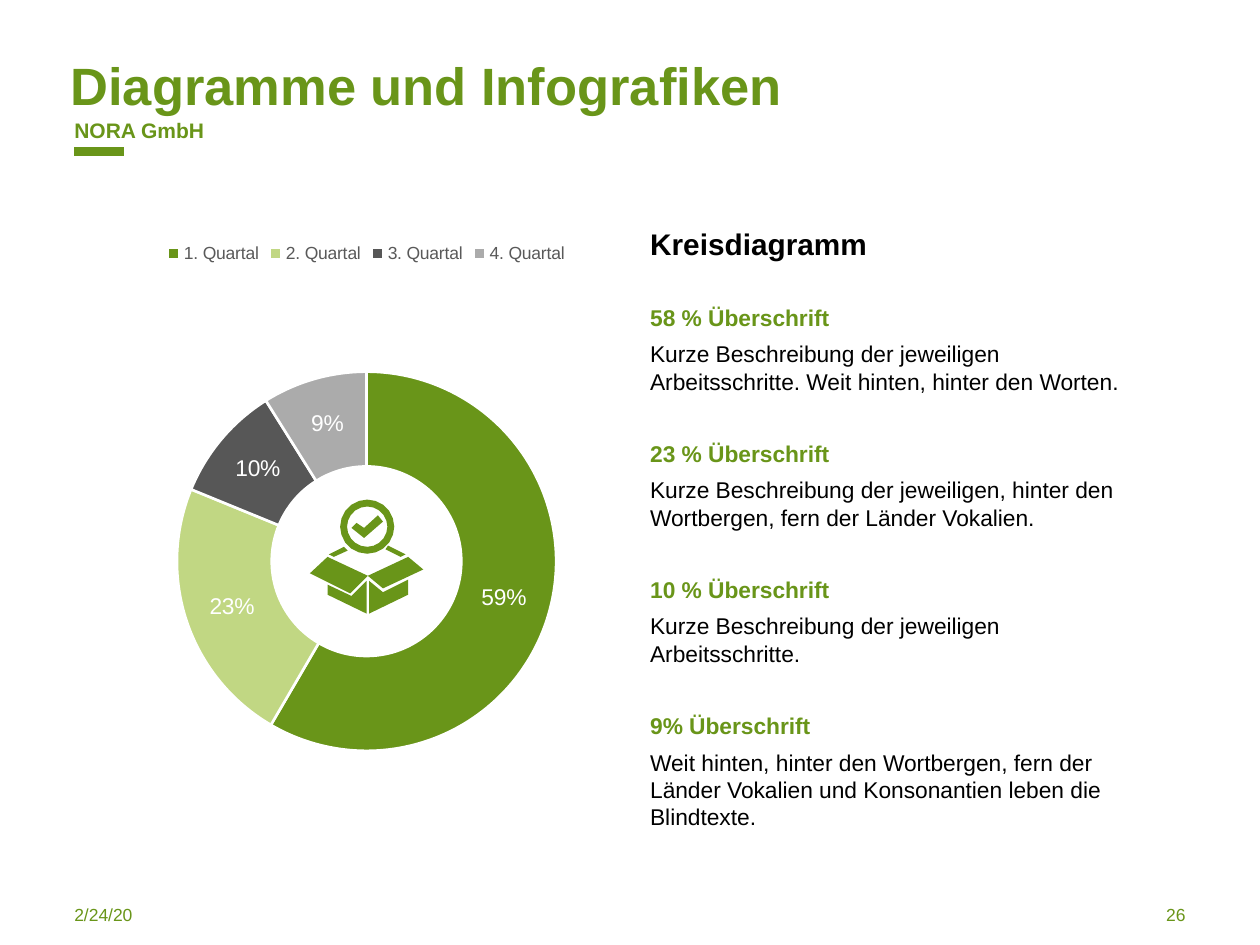
import math

from lxml import etree
from pptx import Presentation
from pptx import util as u
from pptx.chart import data
from pptx.dml import color
from pptx.enum import chart as charts, shapes, text
from pptx.oxml import ns

GREEN = color.RGBColor(0x69, 0x95, 0x19)
LIME = color.RGBColor(0xC1, 0xD7, 0x83)
DARK_GREY = color.RGBColor(0x57, 0x57, 0x57)
LIGHT_GREY = color.RGBColor(0xAB, 0xAB, 0xAB)
LEGEND_GREY = color.RGBColor(0x59, 0x59, 0x59)
BLACK = color.RGBColor(0, 0, 0)
WHITE = color.RGBColor(255, 255, 255)

FONT = "Arial"
CELL = u.Inches(0.1)
LEFT, TEXT_LEFT, TEXT_WIDTH = 5.9, 51.6, 38.6
FOOTER_TOP, FOOTER_WIDTH, FOOTER_HEIGHT = 71.75, 22.4, 2.5

QUARTERS = [
    ("1. Quartal", 59, GREEN),
    ("2. Quartal", 23, LIME),
    ("3. Quartal", 10, DARK_GREY),
    ("4. Quartal", 9, LIGHT_GREY),
]
SECTIONS = [
    ("58 % Überschrift", "Kurze Beschreibung der jeweiligen Arbeitsschritte. "
     "Weit hinten, hinter den Worten."),
    ("23 % Überschrift", "Kurze Beschreibung der jeweiligen, hinter den "
     "Wortbergen, fern der Länder Vokalien."),
    ("10 % Überschrift", "Kurze Beschreibung der jeweiligen Arbeitsschritte."),
    ("9% Überschrift", "Weit hinten, hinter den Wortbergen, fern der Länder "
     "Vokalien und Konsonantien leben die Blindtexte."),
]
CHECK_MARK = [(43, 30), (33, 22), (37, 18), (43, 22), (54, 12), (58, 17)]
OPEN_BOX = [
    [(47, 64), (47, 90), (78, 75), (78, 63), (58, 73)],
    [(0, 58), (32, 74), (46, 60), (14, 45)],
    [(90, 55), (78, 45), (46, 60), (58, 70)],
    [(14, 67), (14, 75), (45, 90), (45, 64), (33, 76)],
    [(30, 40), (27, 37), (15, 43), (19, 45)],
    [(60, 39), (72, 45), (76, 43), (62, 36)],
]


def cells(*counts):
    """Turn counts of grid cells into lengths."""
    return [u.Emu(round(count * CELL)) for count in counts]


def style(font, size, ink, bold=False):
    """Set the typeface, size, colour and weight of a font."""
    font.name, font.size, font.bold = FONT, u.Pt(size), bold
    font.color.rgb = ink


def prepare(box, area, anchor=text.MSO_ANCHOR.TOP):
    """Place a text shape on the grid and return its frame without insets."""
    box.left, box.top, box.width, box.height = cells(*area)
    frame = box.text_frame
    frame.word_wrap = True
    frame.auto_size = text.MSO_AUTO_SIZE.NONE
    frame.vertical_anchor = anchor
    frame.margin_left = frame.margin_right = 0
    frame.margin_top = frame.margin_bottom = 0
    return frame


def write(para, words, size, ink, bold=False, before=0,
          align=text.PP_ALIGN.LEFT):
    """Fill one paragraph and format it."""
    para.text = words
    para.alignment = align
    para.space_before, para.space_after = u.Pt(before), u.Pt(0)
    para.line_spacing = 1.0
    style(para.font, size, ink, bold)


def add_label(page, area, words, size, anchor=text.MSO_ANCHOR.TOP, **options):
    """Add a one-line green text box."""
    frame = prepare(page.shapes.add_textbox(*cells(*area)), area, anchor)
    write(frame.paragraphs[0], words, size, GREEN, **options)


def fill_sections(box, area):
    """Write the headings and descriptions into the body placeholder."""
    frame = prepare(box, area)
    for index, (heading, description) in enumerate(SECTIONS):
        para = frame.add_paragraph() if index else frame.paragraphs[0]
        write(para, heading, 13, GREEN, True, 25.7 if index else 0)
        write(frame.add_paragraph(), description, 13, BLACK, False, 5.2)


def add_rule(page, column, row, length):
    """Add the thick accent line under the company name."""
    start, top, end = cells(column, row, column + length)
    rule = page.shapes.add_connector(
        shapes.MSO_CONNECTOR.STRAIGHT, start, top, end, top)
    rule.line.color.rgb, rule.line.width = GREEN, u.Pt(5)
    etree.SubElement(rule._element.spPr, ns.qn("a:effectLst"))


def set_plot_area(chart, x, y, w, h):
    """Fix the outer plot area as shares of the chart."""
    area = chart._chartSpace.chart.plotArea
    for old in area.findall(ns.qn("c:layout")):
        area.remove(old)
    layout = etree.Element(ns.qn("c:layout"))
    manual = etree.SubElement(layout, ns.qn("c:manualLayout"))
    values = {"layoutTarget": "outer", "xMode": "edge", "yMode": "edge",
              "x": x, "y": y, "w": w, "h": h}
    for name, value in values.items():
        etree.SubElement(manual, ns.qn(f"c:{name}")).set("val", str(value))
    area.insert(0, layout)


def add_doughnut(page, area):
    """Add the doughnut chart of the four quarters."""
    table = data.CategoryChartData()
    table.categories = [name for name, _, _ in QUARTERS]
    table.add_series("Series 1", [share for _, share, _ in QUARTERS])
    chart = page.shapes.add_chart(
        charts.XL_CHART_TYPE.DOUGHNUT, *cells(*area), table).chart
    style(chart.font, 10, BLACK)
    chart.has_title = False
    chart.has_legend = True
    chart.legend.position = charts.XL_LEGEND_POSITION.TOP
    chart.legend.include_in_layout = False
    style(chart.legend.font, 10, LEGEND_GREY)
    plot = chart.plots[0]
    plot.vary_by_categories = True
    plot.has_data_labels = True
    labels = plot.data_labels
    labels.show_value, labels.show_percentage = True, False
    labels.number_format, labels.number_format_is_linked = '0"%"', False
    style(labels.font, 13, WHITE)
    for index, (_, _, ink) in enumerate(QUARTERS):
        form = plot.series[0].points[index].format
        form.fill.solid()
        form.fill.fore_color.rgb = ink
        form.line.color.rgb, form.line.width = WHITE, u.Pt(1.5)
    set_plot_area(chart, 0.11, 0.23, 0.78, 0.62)


def circle(x, y, radius, steps=20):
    """Return the corner points of a divided circle."""
    angles = [math.tau * step / steps for step in range(steps)]
    return [(x + radius * math.cos(a), y + radius * math.sin(a)) for a in angles]


def add_box_icon(page, column, row):
    """Draw the open box with the check mark as one outline."""
    ring = [circle(45.5, 21, radius) for radius in (21.5, 16)]
    builder = None
    for outline in [CHECK_MARK, *ring, *OPEN_BOX]:
        points = [(10 * x, 10 * y) for x, y in outline]
        if builder is None:
            builder = page.shapes.build_freeform(*points[0], scale=CELL / 100)
        else:
            builder.move_to(*points[0])
        builder.add_line_segments(points[1:], close=True)
    icon = builder.convert_to_shape(*cells(column, row))
    icon.shadow.inherit = False
    icon.fill.solid()
    icon.fill.fore_color.rgb = GREEN
    icon.line.fill.background()


def main():
    """Build the slide and save it."""
    deck = Presentation()
    deck.slide_width, deck.slide_height = cells(100, 75)
    page = deck.slides.add_slide(deck.slide_layouts.get_by_name("Comparison"))
    holders = {box.placeholder_format.idx: box for box in page.placeholders}
    for index in (2, 4):
        holders[index]._element.getparent().remove(holders[index]._element)

    title = prepare(holders[0], (5.6, 4.2, 74.1, 5))
    write(title.paragraphs[0], "Diagramme und Infografiken", 30, GREEN, True)
    add_label(page, (LEFT, 9.3, 44.1, 2), "NORA GmbH", 12, bold=True,
              anchor=text.MSO_ANCHOR.BOTTOM)
    add_rule(page, LEFT, 12, 3.95)

    add_doughnut(page, (9.8, 18.2, 38.6, 48.8))
    add_box_icon(page, 24.6, 39.7)

    subtitle = prepare(holders[1], (TEXT_LEFT, 17.9, TEXT_WIDTH, 2.9))
    write(subtitle.paragraphs[0], "Kreisdiagramm", 17, BLACK, True)
    fill_sections(holders[3], (TEXT_LEFT, 24.1, TEXT_WIDTH, 42.9))

    footer = (FOOTER_TOP, FOOTER_WIDTH, FOOTER_HEIGHT)
    add_label(page, (LEFT, *footer), "2/24/20", 10)
    add_label(page, (100 - LEFT - FOOTER_WIDTH, *footer), "26", 10,
              align=text.PP_ALIGN.RIGHT)
    deck.save("out.pptx")


if __name__ == "__main__":
    main()
